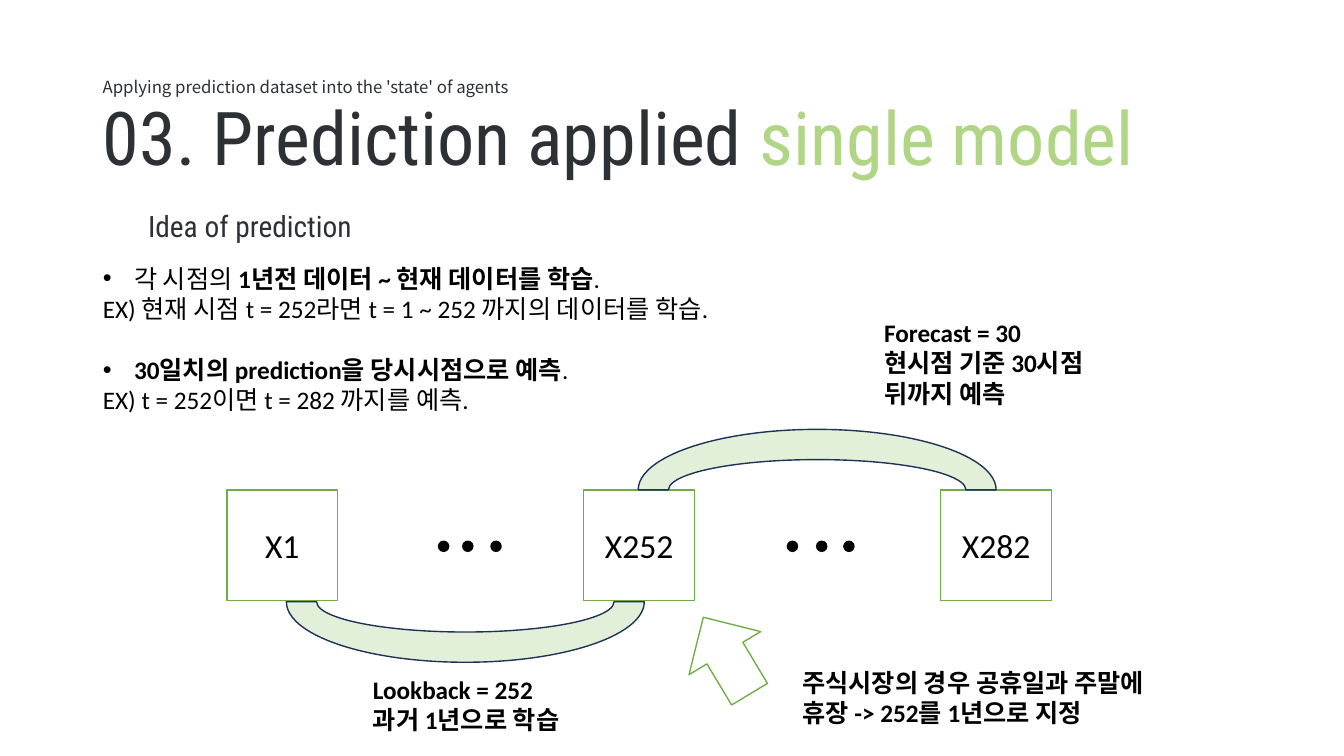
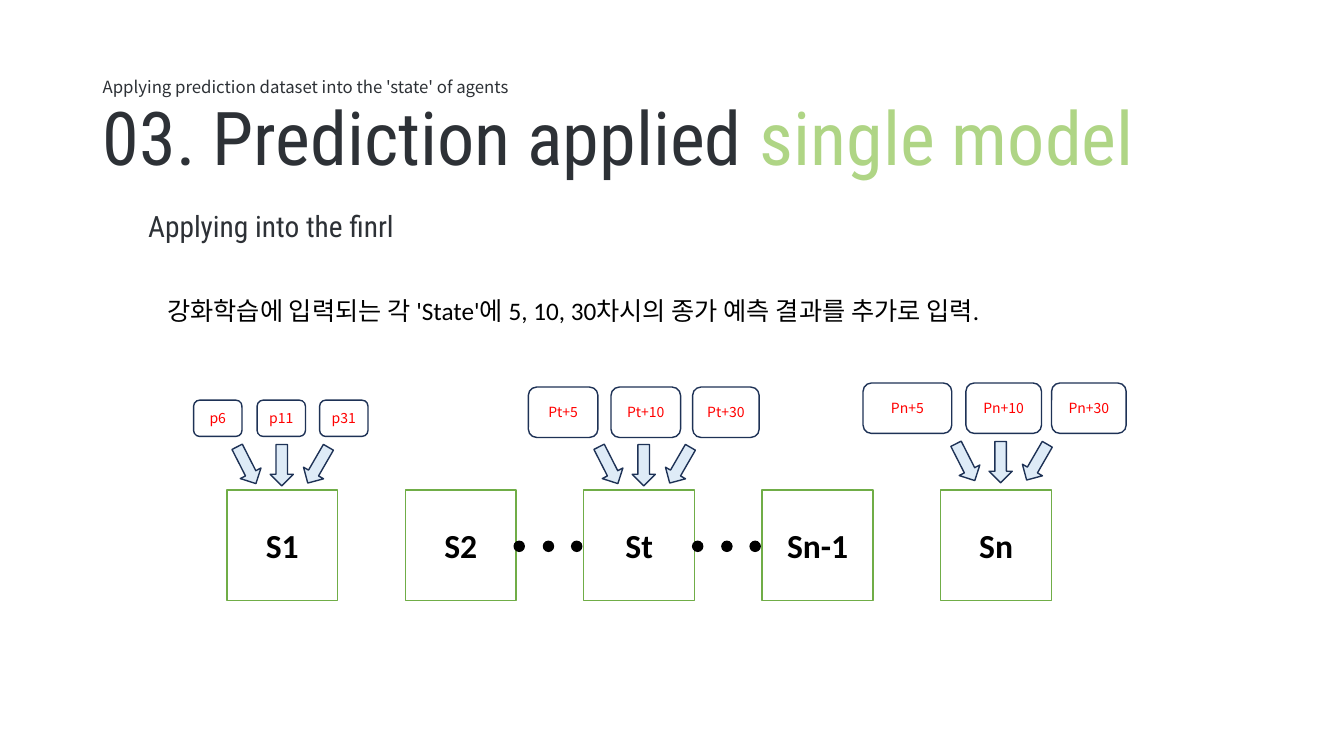
"""Build two slides on feeding predictions into a single model."""
from lxml.etree import SubElement
from pptx import Presentation
from pptx.dml.color import RGBColor
from pptx.enum.shapes import MSO_SHAPE
from pptx.enum.text import MSO_ANCHOR, MSO_AUTO_SIZE, PP_ALIGN
from pptx.oxml.ns import qn
from pptx.util import Pt

PX = 9144
INK = RGBColor(0x2D, 0x31, 0x36)
LIME = RGBColor(0xAF, 0xD5, 0x85)
GREEN = RGBColor(0x70, 0xAD, 0x47)
PALE = RGBColor(0xE2, 0xF0, 0xD9)
SKY = RGBColor(0xDE, 0xEB, 0xF7)
NAVY = RGBColor(0x1E, 0x32, 0x56)
RED = RGBColor(0xFF, 0x00, 0x00)
BLACK = RGBColor(0x00, 0x00, 0x00)
WHITE = RGBColor(0xFF, 0xFF, 0xFF)
HEAD, BODY, NOTE = "Roboto Condensed", "Calibri", "Noto Sans CJK KR"
FIRST, STEP, SIDE, TOP = 225, 177, 110, 486


def scale(*sizes):
    """Turn px lengths into EMU."""
    return [size * PX for size in sizes]


def write(para, text, size, font=BODY, color=BLACK, bold=False):
    """Add one styled run."""
    run = para.add_run()
    run.text = text
    run.font.size = Pt(size)
    run.font.bold = bold
    run.font.name = font
    run.font.color.rgb = color
    SubElement(run.font._element, qn("a:ea"), typeface=font)


def place(holder, *area):
    """Move a placeholder and return its cleared frame."""
    holder.left, holder.top, holder.width, holder.height = scale(*area)
    frame = holder.text_frame
    frame.word_wrap = True
    frame.auto_size = MSO_AUTO_SIZE.NONE
    frame.vertical_anchor = MSO_ANCHOR.TOP
    return frame


def label(slide, area, lines, size=18, font=BODY, color=BLACK, bold=False):
    """Add a text box with one run per line."""
    frame = slide.shapes.add_textbox(*scale(*area)).text_frame
    frame.word_wrap = True
    for spot, line in enumerate(lines):
        para = frame.add_paragraph() if spot else frame.paragraphs[0]
        write(para, line, size, font, color, bold)


def item(frame, first, parts, dot=False, gap=0):
    """Add a body paragraph of (text, bold) parts."""
    para = frame.paragraphs[0] if first else frame.add_paragraph()
    props = para._p.get_or_add_pPr()
    inset = 31 * PX if dot else 0
    props.set("marL", str(inset))
    props.set("indent", str(-inset))
    if dot:
        SubElement(props, qn("a:buFont"), typeface="Arial")
        SubElement(props, qn("a:buChar"), char="•")
    else:
        SubElement(props, qn("a:buNone"))
    para.space_before = Pt(gap)
    for text, bold in parts:
        write(para, text, 18, bold=bold)


def draw(slide, kind, area, fill, line, turn=0):
    """Add a flat preset shape."""
    shape = slide.shapes.add_shape(kind, *scale(*area))
    shape.shadow.inherit = False
    shape.fill.solid()
    shape.fill.fore_color.rgb = fill
    shape.line.color.rgb = line
    shape.line.width = Pt(1)
    shape.rotation = turn
    return shape


def fill_in(shape, text, size, font, color, bold=False):
    """Centre a caption inside a shape."""
    frame = shape.text_frame
    frame.word_wrap = True
    frame.margin_left = frame.margin_right = 0
    frame.vertical_anchor = MSO_ANCHOR.MIDDLE
    para = frame.paragraphs[0]
    para.alignment = PP_ALIGN.CENTER
    write(para, text, size, font, color, bold)


def state(slide, slot, text, bold=False):
    """Add a green square in a numbered slot."""
    area = FIRST + STEP * slot, TOP, SIDE, SIDE
    box = draw(slide, MSO_SHAPE.RECTANGLE, area, WHITE, GREEN)
    fill_in(box, text, 24, BODY, BLACK, bold)


def dots(slide, *lefts):
    """Add a row of black dots."""
    for left in lefts:
        draw(slide, MSO_SHAPE.OVAL, (left, 537, 10, 10), BLACK, BLACK)


def arc(slide, left, top, turn=0):
    """Add a half ring linking two squares."""
    draw(slide, MSO_SHAPE.BLOCK_ARC, (left, top, 355, 120), PALE, NAVY, turn)


def feed(slide, left, top, tags, tag_top, tall):
    """Add three tags with arrows that point at one square."""
    for shift, turn in ((0, 333), (35, 0), (71, 30)):
        area = left + shift, top, 23, 41
        draw(slide, MSO_SHAPE.DOWN_ARROW, area, SKY, NAVY, turn)
    for text, x, wide in tags:
        area = x, tag_top, wide, tall
        tag = draw(slide, MSO_SHAPE.ROUNDED_RECTANGLE, area, WHITE, NAVY)
        fill_in(tag, text, 10, NOTE, RED)


def start(deck, topic):
    """Add a slide with the shared heading."""
    slide = deck.slides.add_slide(deck.slide_layouts[1])
    para = place(slide.shapes.title, 92, 86, 1200, 100).paragraphs[0]
    para.alignment = PP_ALIGN.LEFT
    write(para, "03. Prediction applied ", 53, HEAD, INK)
    write(para, "single model", 53, HEAD, LIME)
    lead = "Applying prediction dataset into the 'state' of agents"
    label(slide, (92, 71, 494, 50), [lead], 12, NOTE, INK)
    label(slide, (137, 202, 591, 46), [topic], 21, HEAD, INK)
    return slide


def idea(deck):
    """Build the slide on lookback and forecast."""
    slide = start(deck, "Idea of prediction")
    frame = place(slide.placeholders[1], 92, 256, 1014, 162)
    item(frame, True, [("각 시점의 ", False),
                       ("1년전 데이터 ~ 현재 데이터를 학습", True),
                       (".", False)], dot=True)
    item(frame, False,
         [("EX) 현재 시점 t = 252라면 t = 1 ~ 252 까지의 데이터를 학습.", False)])
    item(frame, False, [("30일치의 prediction을 당시시점으로 예측", True),
                        (".", False)], dot=True, gap=22)
    item(frame, False, [("EX) t = 252이면 t = 282 까지를 예측.", False)])
    for slot, text in ((0, "X1"), (2, "X252"), (4, "X282")):
        state(slide, slot, text)
    dots(slide, 435, 459, 487, 781, 810, 837)
    arc(slide, 284, 537, 180)
    arc(slide, 633, 426)
    draw(slide, MSO_SHAPE.UP_ARROW, (679, 606, 83, 89), WHITE, GREEN, 329)
    notes = (
        ((360, 664, 220, 71), ["Lookback = 252", "과거 1년으로 학습"]),
        ((867, 310, 220, 131),
         ["Forecast = 30", "현시점 기준 30시점 뒤까지 예측"]),
        ((786, 657, 416, 71),
         ["주식시장의 경우 공휴일과 주말에 휴장 -> 252를 1년으로 지정"]),
    )
    for area, lines in notes:
        label(slide, area, lines, bold=True)


def finrl(deck):
    """Build the slide on adding predictions to each state."""
    slide = start(deck, "Applying into the finrl")
    frame = place(slide.placeholders[1], 156, 288, 1000, 71)
    item(frame, True, [("강화학습에 입력되는 각 'State'에 5, 10, 30차시의 "
                        "종가 예측 결과를 추가로 입력.", False)])
    for slot, text in enumerate(("S1", "S2", "St", "Sn-1", "Sn")):
        state(slide, slot, text, True)
    dots(slide, 510, 539, 567, 687, 716, 744)
    feed(slide, 233, 441,
         (("p6", 192, 48), ("p11", 255, 48), ("p31", 317, 48)), 397, 36)
    feed(slide, 592, 441,
         (("Pt+5", 524, 69), ("Pt+10", 606, 69), ("Pt+30", 687, 66)), 384, 50)
    feed(slide, 946, 438,
         (("Pn+5", 856, 88), ("Pn+10", 958, 75), ("Pn+30", 1043, 74)), 380, 50)


def main():
    """Build and save the deck."""
    deck = Presentation()
    deck.slide_width, deck.slide_height = scale(1333, 750)
    idea(deck)
    finrl(deck)
    deck.save("out.pptx")


if __name__ == "__main__":
    main()
